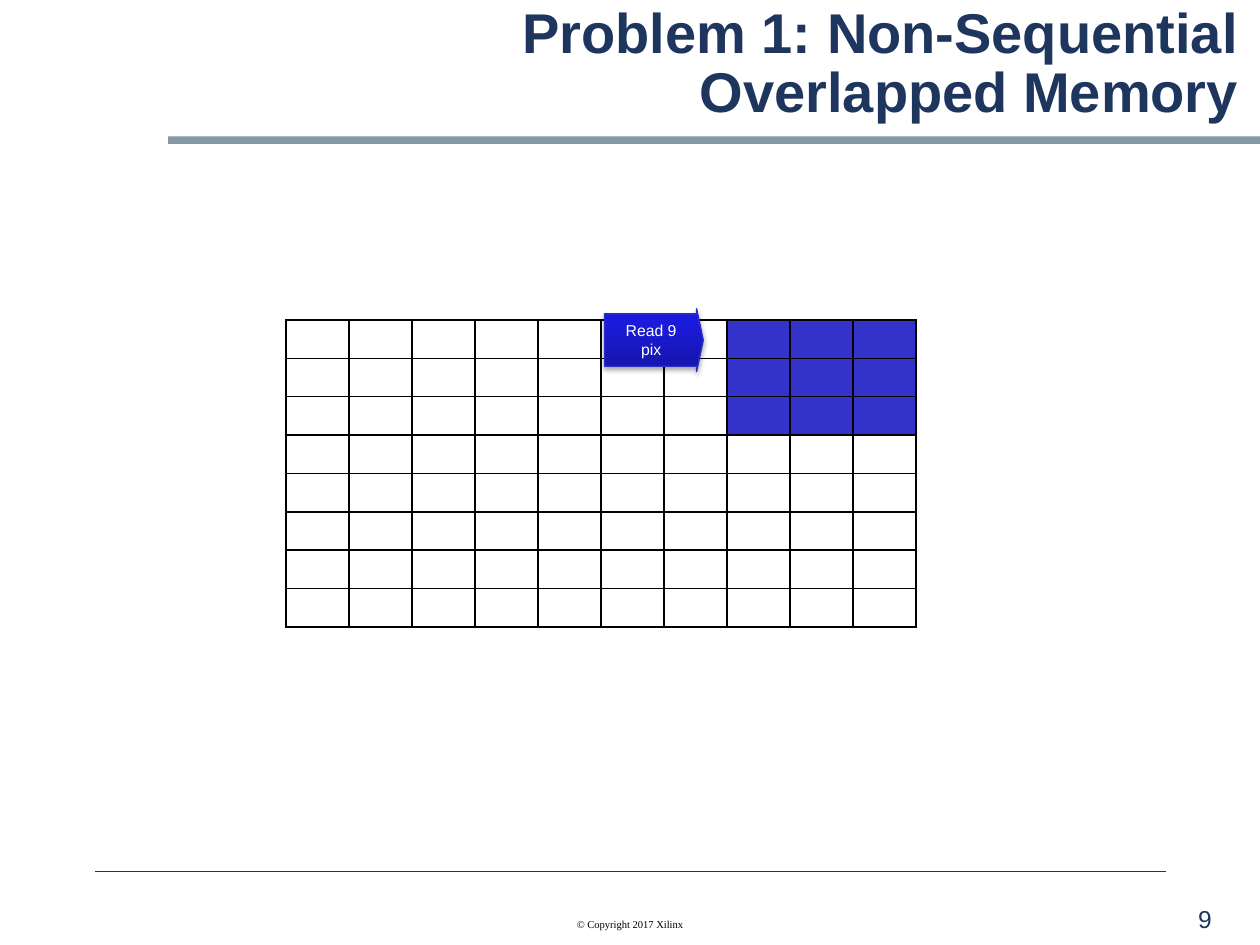
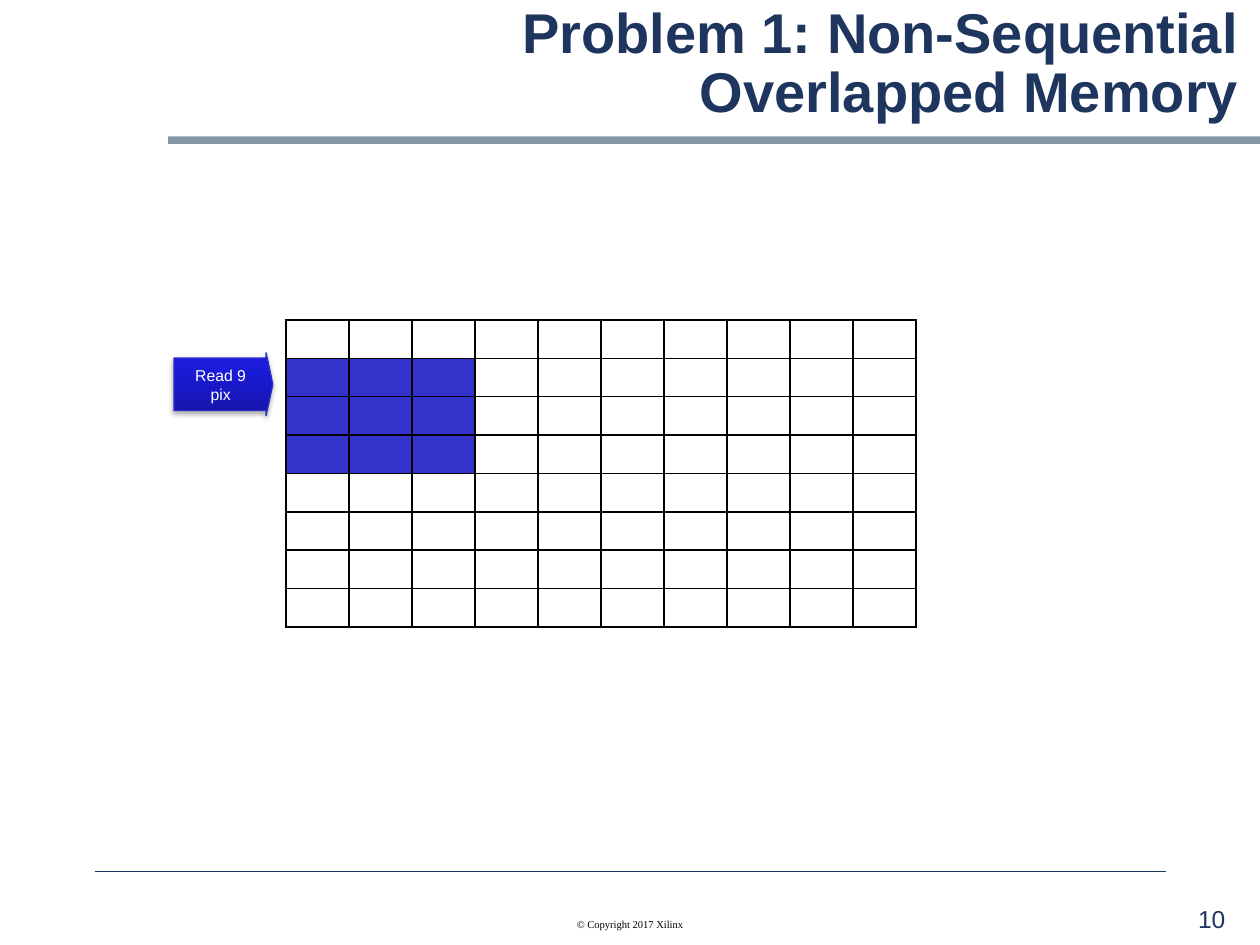
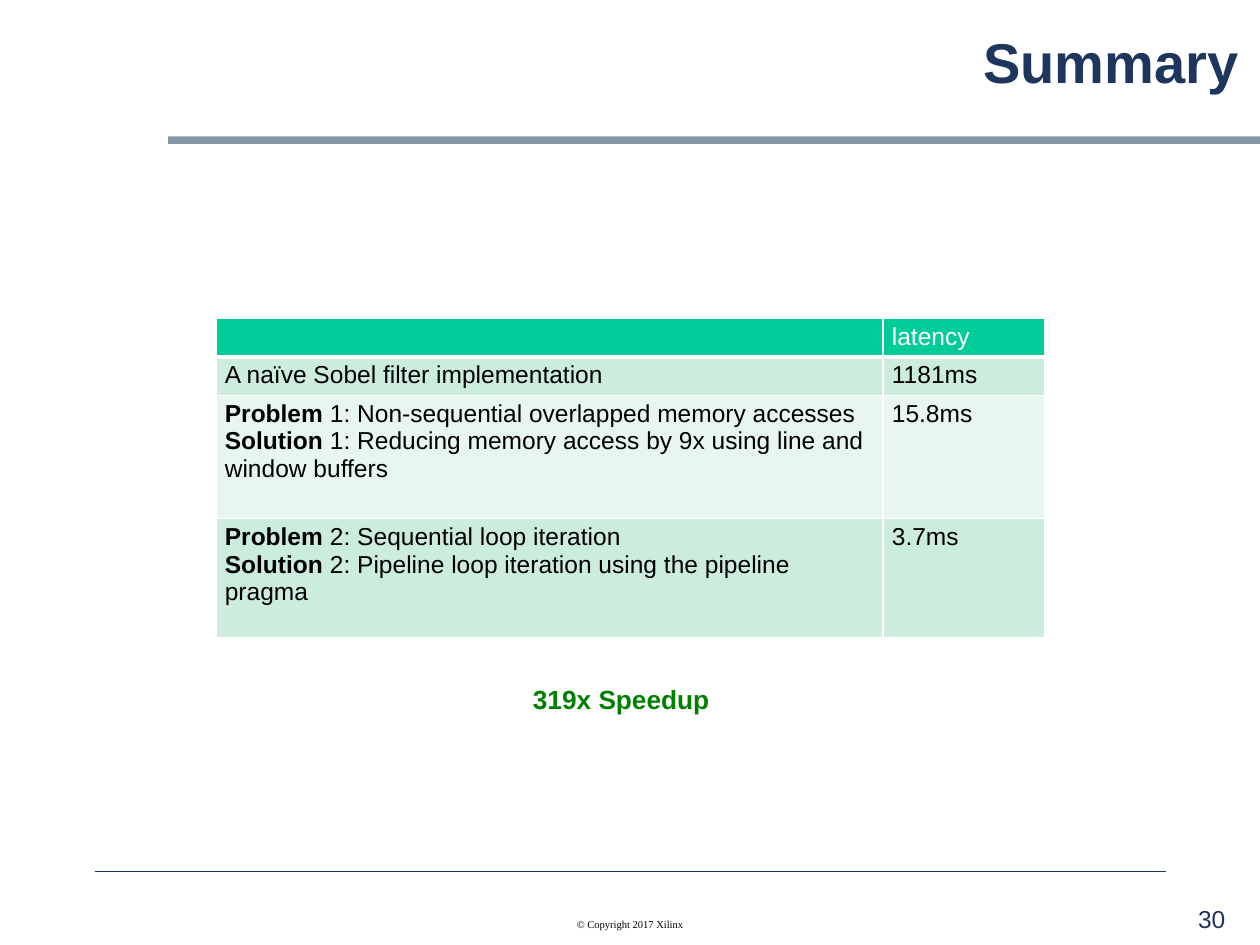
from copy import deepcopy
from dataclasses import dataclass

from lxml.etree import SubElement
from pptx import Presentation
from pptx.dml.color import RGBColor
from pptx.enum.shapes import MSO_CONNECTOR, MSO_SHAPE
from pptx.enum.text import MSO_ANCHOR, PP_ALIGN
from pptx.oxml.ns import qn
from pptx.util import Pt


@dataclass(frozen=True)
class Theme:
    navy: str = "1E355E"
    band: str = "8499A5"
    black: str = "000000"
    white: str = "FFFFFF"
    pixel: str = "3333CC"
    arrow_stops: tuple = ((0, "1515A9"), (0.8, "1B1BDC"), (1, "1818E1"))
    arrow_line: str = "2E2ECB"
    header: str = "00CC99"
    rows: tuple = ("CCECDE", "E7F6EF")
    speedup: str = "008000"
    sans: str = "Arial"
    serif: str = "Times New Roman"
    title_pt: int = 32
    speedup_pt: int = 15
    body_pt: int = 14
    small_pt: int = 9
    copyright_pt: int = 6


T = Theme()
WIDTH, HEIGHT = 720, 540
GRID_BOX = (163.4, 182.9, 360, 175.5)
GRID_ROWS, GRID_COLS, WINDOW = 8, 10, 3
ARROW_SIZE = (56.5, 36)
MEMORY_TITLE = "Problem 1: Non-Sequential Overlapped Memory"
LATENCIES = [
    ([[("A naïve Sobel filter implementation", False)]], "1181ms"),
    ([[("Problem", True), (" 1: Non-sequential overlapped memory accesses", False)],
      [("Solution", True),
       (" 1: Reducing memory access by 9x using line and window buffers", False)]], "15.8ms"),
    ([[("Problem", True), (" 2: Sequential loop iteration", False)],
      [("Solution", True),
       (" 2: Pipeline loop iteration using the pipeline pragma", False)]], "3.7ms"),
]


def rgb(color):
    return RGBColor.from_string(color)


def points(box):
    return [Pt(v) for v in box]


def add_run(p, text, size, color, bold=False, font=T.sans):
    r = p.add_run()
    r.text = text
    r.font.size, r.font.name, r.font.bold = Pt(size), font, bold
    r.font.color.rgb = rgb(color)


def set_margins(holder, x, y):
    holder.margin_left = holder.margin_right = Pt(x)
    holder.margin_top = holder.margin_bottom = Pt(y)


def add_label(s, box, text, size, color, bold=False, font=T.sans, align=PP_ALIGN.LEFT,
              anchor=MSO_ANCHOR.TOP, spacing=None, left_margin=7.2):
    tf = s.shapes.add_textbox(*points(box)).text_frame
    tf.word_wrap = True
    tf.vertical_anchor = anchor
    tf.margin_left = Pt(left_margin)
    p = tf.paragraphs[0]
    p.alignment = align
    if spacing:
        p.line_spacing = spacing
    add_run(p, text, size, color, bold, font)


def set_borders(cell, color, **widths):
    """Draw the four sides 1 pt wide unless a side (L, R, T, B) is given its own width."""
    tcPr = cell._tc.get_or_add_tcPr()
    for side in "LRTB":
        ln = SubElement(tcPr, qn(f"a:ln{side}"), w=str(Pt(widths.get(side, 1))))
        fill = SubElement(ln, qn("a:solidFill"))
        SubElement(fill, qn("a:srgbClr"), val=color)


def fill_cell(cell, color):
    cell.fill.solid()
    cell.fill.fore_color.rgb = rgb(color)


# Shared frame: title, band, footer
def add_frame(prs, title, number, title_left):
    s = prs.slides.add_slide(prs.slide_layouts[6])

    band = s.shapes.add_shape(MSO_SHAPE.RECTANGLE, *points((96, 78, WIDTH - 96, 4.3)))
    band.shadow.inherit = False
    band.fill.solid()
    band.fill.fore_color.rgb = rgb(T.band)
    band.line.fill.background()

    rule = s.shapes.add_connector(MSO_CONNECTOR.STRAIGHT,
                                  *points((54, 498, WIDTH - 54, 498)))
    rule.line.color.rgb = rgb(T.navy)
    rule.line.width = Pt(0.75)
    SubElement(rule._element.spPr, qn("a:effectLst"))

    add_label(s, (title_left, 16.5, 715 - title_left, 41.8), title, T.title_pt, T.navy,
              bold=True, align=PP_ALIGN.RIGHT, anchor=MSO_ANCHOR.MIDDLE, spacing=0.88)
    add_label(s, (677.5, 515.5, 46.8, 18.7), str(number), T.body_pt, T.navy, spacing=0.88)
    add_label(s, (246, 518.4, 228, 19.4), "© Copyright 2017 Xilinx", T.copyright_pt, T.black,
              font=T.serif, align=PP_ALIGN.CENTER, anchor=MSO_ANCHOR.MIDDLE)
    return s


# Pixel grid with the window being read
def add_pixel_grid(s, box, top_row, left_col):
    table = s.shapes.add_table(GRID_ROWS, GRID_COLS, *points(box)).table
    for col in table.columns:
        col.width = Pt(box[2] / GRID_COLS)
    for i, row in enumerate(table.rows):
        row.height = Pt(box[3] / GRID_ROWS)
        for j, cell in enumerate(row.cells):
            in_window = 0 <= i - top_row < WINDOW and 0 <= j - left_col < WINDOW
            set_borders(cell, T.black)
            fill_cell(cell, T.pixel if in_window else T.white)
            # A small type size lets the empty row keep its height
            SubElement(cell.text_frame.paragraphs[0]._p, qn("a:endParaRPr"),
                       sz=str(T.small_pt * 100))


# Arrow that labels the read
def add_read_arrow(s, box):
    sp = s.shapes.add_shape(MSO_SHAPE.RIGHT_ARROW, *points(box))
    sp.adjustments[0], sp.adjustments[1] = 0.833, 0.107
    sp.fill.gradient()
    sp.fill.gradient_angle = 90
    stops = sp._element.spPr.find(".//" + qn("a:gsLst"))
    stops.append(deepcopy(stops[-1]))
    for stop, (position, color) in zip(sp.fill.gradient_stops, T.arrow_stops):
        stop.position = position
        stop.color.rgb = rgb(color)
    sp.line.color.rgb = rgb(T.arrow_line)
    sp.line.width = Pt(0.75)

    sp.shadow.inherit = False
    effects = sp._element.spPr.find(qn("a:effectLst"))
    shadow = SubElement(effects, qn("a:outerShdw"), blurRad=str(Pt(3.1)), dist=str(Pt(1.8)),
                        dir="5400000", rotWithShape="0")
    shade = SubElement(shadow, qn("a:srgbClr"), val=T.black)
    SubElement(shade, qn("a:alpha"), val="35000")

    tf = sp.text_frame
    tf.word_wrap = True
    tf.vertical_anchor = MSO_ANCHOR.MIDDLE
    set_margins(tf, 5.8, 2.9)
    p = tf.paragraphs[0]
    p.alignment = PP_ALIGN.CENTER
    add_run(p, "Read 9 pix", T.small_pt, T.white)


# Latency table
def add_latency_table(s, box):
    heights = (21.4, 21.6, 70.4, 68)
    table = s.shapes.add_table(len(heights), 2, *points(box)).table
    for col, width in zip(table.columns, (381.2, box[2] - 381.2)):
        col.width = Pt(width)

    content = [([], "latency")] + LATENCIES
    for i, (row, height, (lines, latency)) in enumerate(zip(table.rows, heights, content)):
        row.height = Pt(height)
        text_color = T.black if i else T.white
        for cell, paragraphs in zip(row.cells, (lines, [[(latency, False)]])):
            set_borders(cell, T.white, T=3 if i == 1 else 1, B=1 if i else 3)
            fill_cell(cell, T.rows[(i - 1) % 2] if i else T.header)
            set_margins(cell, 5.2, 2.6)
            tf = cell.text_frame
            for k, runs in enumerate(paragraphs):
                p = tf.add_paragraph() if k else tf.paragraphs[0]
                for text, bold in runs:
                    add_run(p, text, T.body_pt, text_color, bold)
            if not paragraphs:
                SubElement(tf.paragraphs[0]._p, qn("a:endParaRPr"), sz=str(T.body_pt * 100))


def memory_slide(prs, number, title_left, window, arrow_offset):
    s = add_frame(prs, MEMORY_TITLE, number, title_left)
    left, top = GRID_BOX[:2]
    dx, dy = arrow_offset
    add_pixel_grid(s, GRID_BOX, *window)
    add_read_arrow(s, (left + dx, top + dy, *ARROW_SIZE))


def summary_slide(prs):
    s = add_frame(prs, "Summary", 30, 64)
    add_latency_table(s, (123.3, 182, 474, 181.4))
    add_label(s, (304.5, 385, 112, 25), "319x Speedup", T.speedup_pt, T.speedup, bold=True,
              spacing=1.1, left_margin=0)


def main():
    prs = Presentation()
    prs.slide_width, prs.slide_height = Pt(WIDTH), Pt(HEIGHT)
    memory_slide(prs, 9, 116.6, window=(0, 7), arrow_offset=(182, -6.5))
    memory_slide(prs, 10, 108.5, window=(1, 0), arrow_offset=(-64, 18.7))
    summary_slide(prs)
    prs.save("out.pptx")


if __name__ == "__main__":
    main()
